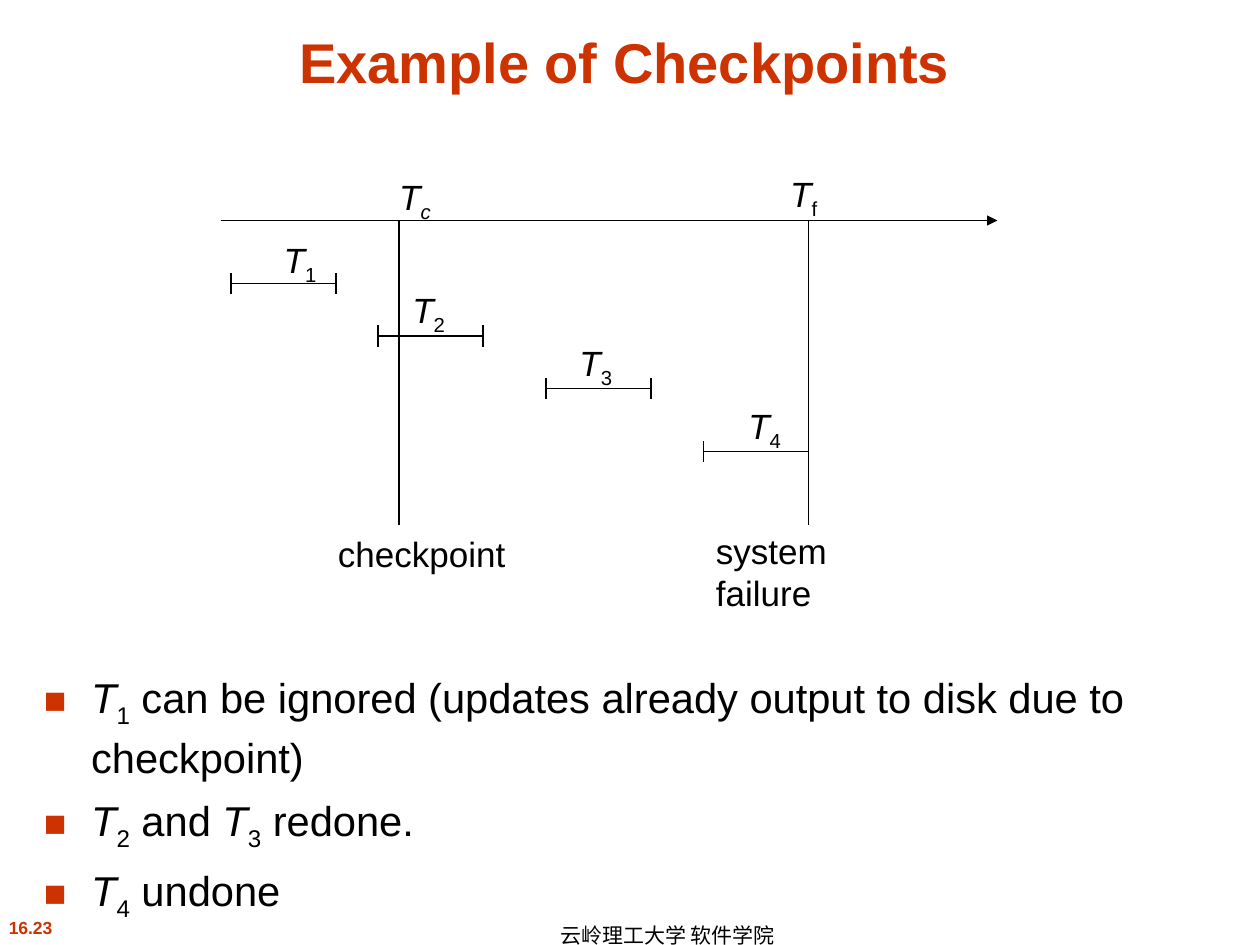
from lxml import etree
from pptx import Presentation
from pptx import util as u
from pptx.dml.color import RGBColor
from pptx.enum import shapes, text
from pptx.oxml.ns import qn

Pt = u.Pt
ACCENT, INK = "CC3300", "000000"


def color(hex_code):
    return RGBColor.from_string(hex_code)


class Deck:
    font = "Arial"
    line_width = 0.75

    def __init__(self, width, height):
        self.prs = Presentation()
        self.prs.slide_width, self.prs.slide_height = Pt(width), Pt(height)
        self.slide = self.prs.slides.add_slide(self.prs.slide_layouts[5])

    def format_runs(self, paragraph, size, hex_code=INK, bold=False):
        for run in paragraph.runs:
            run.font.name = self.font
            run.font.size = Pt(size)
            run.font.bold = bold
            run.font.color.rgb = color(hex_code)

    def add_runs(self, paragraph, markup):
        """Split markup at "|"; a part led by "_" is subscript, by "*" italic."""
        for part in markup.split("|"):
            run = paragraph.add_run()
            run.text = part.lstrip("_*")
            marks = part[:len(part) - len(run.text)]
            if "*" in marks:
                run.font.italic = True
            if "_" in marks:
                run.font._element.set("baseline", "-25000")

    def title(self, wording, left, top, width, height):
        title = self.slide.shapes.title
        title.left, title.top = Pt(left), Pt(top)
        title.width, title.height = Pt(width), Pt(height)
        frame = title.text_frame
        frame.text = wording
        frame.vertical_anchor = text.MSO_ANCHOR.BOTTOM
        frame.paragraphs[0].alignment = text.PP_ALIGN.CENTER
        self.format_runs(frame.paragraphs[0], 32, ACCENT, bold=True)

    def label(self, markup, left, top, width, height=31, size=20,
              hex_code=INK, bold=False, align=text.PP_ALIGN.LEFT):
        box = self.slide.shapes.add_textbox(Pt(left), Pt(top), Pt(width), Pt(height))
        box.text_frame.word_wrap = False
        paragraph = box.text_frame.paragraphs[0]
        paragraph.alignment = align
        self.add_runs(paragraph, markup)
        self.format_runs(paragraph, size, hex_code, bold)
        return paragraph

    def line(self, x1, y1, x2, y2, arrow=False):
        line = self.slide.shapes.add_connector(
            shapes.MSO_CONNECTOR.STRAIGHT, Pt(x1), Pt(y1), Pt(x2), Pt(y2))
        line.line.width = Pt(self.line_width)
        line.line.color.rgb = color(INK)
        if arrow:
            etree.SubElement(line.line._get_or_add_ln(), qn("a:tailEnd"), type="triangle")
        etree.SubElement(line._element.spPr, qn("a:effectLst"))

    def interval(self, left, y, width=60, tick=6):
        right = left + width
        self.line(left, y, right, y)
        for x in (left, right):
            self.line(x, y - tick, x, y + tick)

    def bullets(self, items, left, top, width, height, size=23.8, indent=27):
        frame = self.slide.shapes.add_textbox(
            Pt(left), Pt(top), Pt(width), Pt(height)).text_frame
        frame.word_wrap = True
        for index, markup in enumerate(items):
            paragraph = frame.add_paragraph() if index else frame.paragraphs[0]
            self.add_runs(paragraph, markup)
            self.format_runs(paragraph, size)
            paragraph.line_spacing = 1.05
            paragraph.space_before = Pt(6 if index else 0)
            props = paragraph._p.get_or_add_pPr()
            props.set("marL", str(Pt(indent)))
            props.set("indent", str(-Pt(indent)))
            fill = etree.SubElement(props, qn("a:buClr"))
            etree.SubElement(fill, qn("a:srgbClr"), val=ACCENT)
            etree.SubElement(props, qn("a:buSzPct"), val="90000")
            etree.SubElement(props, qn("a:buFont"), typeface=self.font)
            etree.SubElement(props, qn("a:buChar"), char="■")


def main():
    deck = Deck(720, 540)
    deck.title("Example of Checkpoints", 18, 9.5, 678, 48)

    axis_y, foot_y = 126, 300
    checkpoint_x, failure_x = 228, 462
    deck.line(126, axis_y, 570, axis_y, arrow=True)
    for x in (checkpoint_x, failure_x):
        deck.line(x, axis_y, x, foot_y)
    deck.label("*T|_*c", 221, 97, 33)
    deck.label("*T|_f", 444.5, 95, 30)
    deck.label("checkpoint", 186, 301, 110)
    deck.label("system failure", 402, 299, 137.5)

    # Start and height of each transaction, then the place of its name
    transactions = [
        (132, 162, 155, 133),
        (216, 192, 228.5, 161.5),
        (312, 222, 324, 191.5),
        (402, 258, 420.5, 227.5),
    ]
    for number, (start, y, name_x, name_y) in enumerate(transactions, 1):
        deck.interval(start, y)
        deck.label(f"*T|_{number}", name_x, name_y, 34)

    deck.bullets([
        "*T|_1| can be ignored (updates already output to disk due to checkpoint)",
        "*T|_2| and |*T|_3| redone.",
        "*T|_4| undone",
    ], 18, 379, 678, 144)

    deck.label("16.23", -3, 520.5, 41, 19.5, 10, ACCENT, True, text.PP_ALIGN.CENTER)
    school = deck.label("云岭理工大学 软件学院", 289, 522, 161, 18, 12,
                        align=text.PP_ALIGN.RIGHT)
    school.line_spacing = 1.1
    deck.prs.save("out.pptx")


if __name__ == "__main__":
    main()
